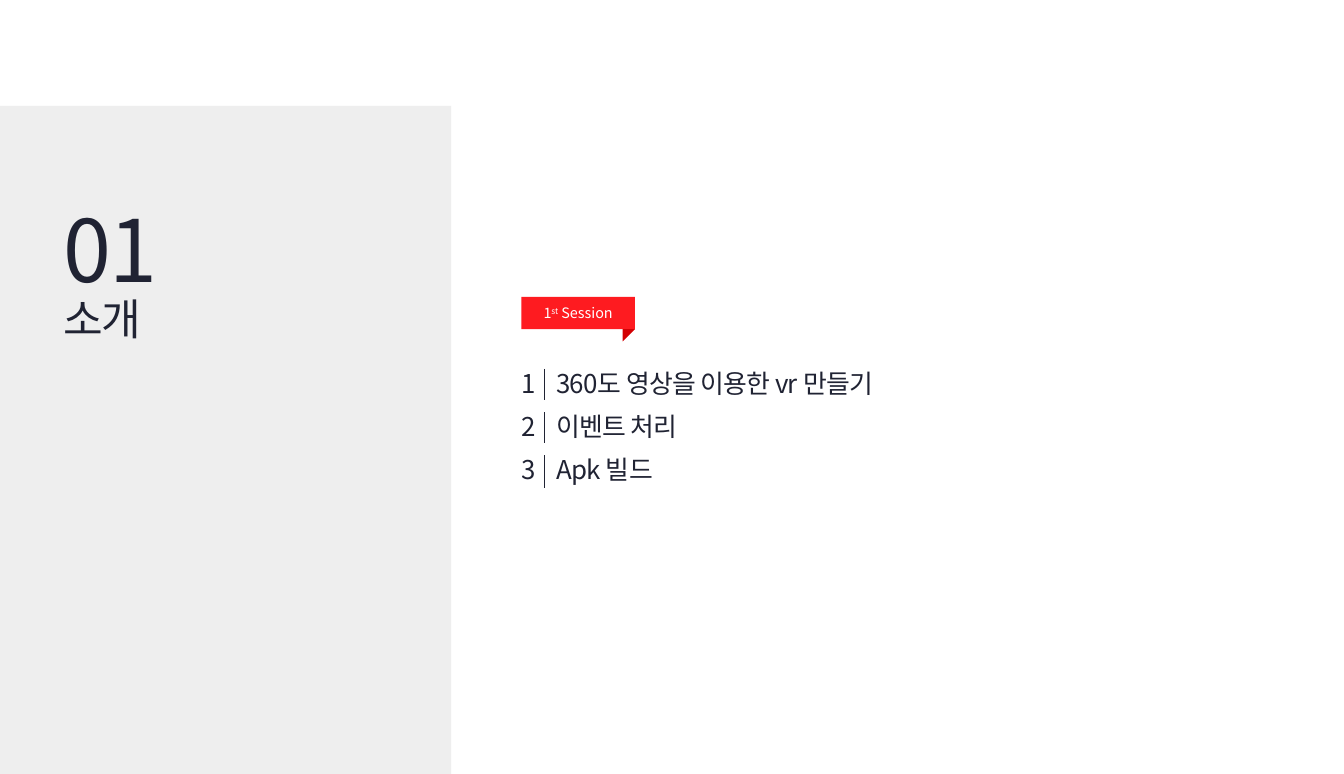
from dataclasses import dataclass

from lxml.etree import SubElement
from pptx import Presentation
from pptx.dml.color import RGBColor
from pptx.enum.shapes import MSO_SHAPE
from pptx.enum.text import MSO_ANCHOR, PP_ALIGN
from pptx.oxml.ns import qn
from pptx.util import Cm, Pt


@dataclass(frozen=True)
class Theme:
    font: str = "Noto Sans CJK KR"
    ink: str = "202333"
    panel: str = "EEEEEE"
    badge: str = "FE1B20"
    fold: str = "D30104"
    white: str = "FFFFFF"
    number_size: float = 60
    title_size: float = 30
    item_size: float = 18
    badge_size: float = 10
    gap_size: float = 1
    rule_width: float = 0.25
    leading: float = 1.2


class SlideBuilder:
    def __init__(self, slide, theme):
        self.slide = slide
        self.theme = theme

    def style_run(self, run, size, color, spacing=0):
        run.font.size = Pt(size)
        run.font.color.rgb = RGBColor.from_string(color)
        run.font.name = self.theme.font
        properties = run._r.get_or_add_rPr()
        properties.set("spc", str(int(spacing * 100)))
        SubElement(properties, qn("a:ea")).set("typeface", self.theme.font)

    def set_line(self, frame, text, size, spacing=0, align=PP_ALIGN.LEFT):
        frame.text = text
        line = frame.paragraphs[0]
        line.alignment = align
        line.line_spacing = Pt(size * self.theme.leading)
        for run in line.runs:
            self.style_run(run, size, self.theme.ink, spacing)
        if not text:
            end = SubElement(line._p, qn("a:endParaRPr"))
            end.set("sz", str(int(size * 100)))

    def heading(self, text, left, top, width, height, size):
        frame = self.slide.shapes.add_textbox(
            Cm(left), Cm(top), Cm(width), Cm(height)).text_frame
        frame.word_wrap = True
        frame.margin_left = frame.margin_right = 0
        frame.margin_top = frame.margin_bottom = 0
        self.set_line(frame, text, size, spacing=-1)

    def block(self, kind, left, top, width, height, color, parent=None):
        shapes = (parent or self.slide).shapes
        shape = shapes.add_shape(kind, Cm(left), Cm(top), Cm(width), Cm(height))
        shape.shadow.inherit = False
        shape.fill.solid()
        shape.fill.fore_color.rgb = RGBColor.from_string(color)
        shape.line.fill.background()
        return shape

    def session_badge(self, pieces, left, top, width, height, fold_size):
        group = self.slide.shapes.add_group_shape()
        banner = self.block(MSO_SHAPE.RECTANGLE, left, top, width, height,
                            self.theme.badge, group)
        fold = self.block(MSO_SHAPE.RIGHT_TRIANGLE, left + width - fold_size,
                          top + height, fold_size, fold_size,
                          self.theme.fold, group)
        fold.rotation = 90
        frame = banner.text_frame
        frame.vertical_anchor = MSO_ANCHOR.MIDDLE
        line = frame.paragraphs[0]
        line.alignment = PP_ALIGN.CENTER
        for text, baseline in pieces:
            run = line.add_run()
            run.text = text
            self.style_run(run, self.theme.badge_size, self.theme.white)
            run._r.get_or_add_rPr().set("baseline", str(baseline * 1000))

    def cell_rule(self, cell, side):
        rule = SubElement(cell._tc.get_or_add_tcPr(), qn(f"a:{side}"))
        rule.set("w", str(Pt(self.theme.rule_width)))
        fill = SubElement(rule, qn("a:solidFill"))
        SubElement(fill, qn("a:srgbClr")).set("val", self.theme.ink)

    def agenda(self, items, left, top, widths, row_height, gap):
        # Item rows alternate with thin spacer rows
        count = 2 * len(items) - 1
        height = len(items) * row_height + (len(items) - 1) * gap
        table = self.slide.shapes.add_table(
            count, 2, Cm(left), Cm(top), Cm(sum(widths)), Cm(height)).table
        table.first_row = table.horz_banding = False
        for column, width in zip(table.columns, widths):
            column.width = Cm(width)
        for index, row in enumerate(table.rows):
            is_item = index % 2 == 0
            row.height = Cm(row_height if is_item else gap)
            number, topic = row.cells
            for cell in (number, topic):
                cell.margin_left = cell.margin_right = 0
                cell.margin_top = cell.margin_bottom = 0
            if is_item:
                number.margin_right = Cm(0.2)
                topic.margin_left = Cm(0.3)
                self.cell_rule(number, "lnR")
                self.cell_rule(topic, "lnL")
                self.set_line(number.text_frame, str(index // 2 + 1),
                              self.theme.item_size, align=PP_ALIGN.RIGHT)
                self.set_line(topic.text_frame, items[index // 2],
                              self.theme.item_size, spacing=-0.5)
            else:
                for cell in (number, topic):
                    self.set_line(cell.text_frame, "", self.theme.gap_size)
            for cell in (number, topic):
                cell.fill.background()


def main():
    deck = Presentation()
    deck.slide_width, deck.slide_height = Cm(33), Cm(19)
    theme = Theme()
    page = SlideBuilder(deck.slides.add_slide(deck.slide_layouts[6]), theme)

    # Chapter panel
    page.block(MSO_SHAPE.RECTANGLE, 0, 2.6, 11.08, 16.4, theme.panel)
    page.heading("소개", 1.55, 7.19, 9.1, 1.27, theme.title_size)

    # Session agenda
    content_left = 12.8
    page.agenda(["360도 영상을 이용한 vr 만들기", "이벤트 처리", "Apk 빌드"],
                content_left, 9.07, (0.56, 14.63), 0.76, 0.3)

    # Chapter number
    page.heading("01", 1.55, 4.83, 5.4, 2.56, theme.number_size)

    # Session badge
    page.session_badge([("1", 0), ("st", 30), (" Session", 0)],
                       content_left, 7.29, 2.79, 0.79, 0.3)

    deck.save("out.pptx")


if __name__ == "__main__":
    main()
